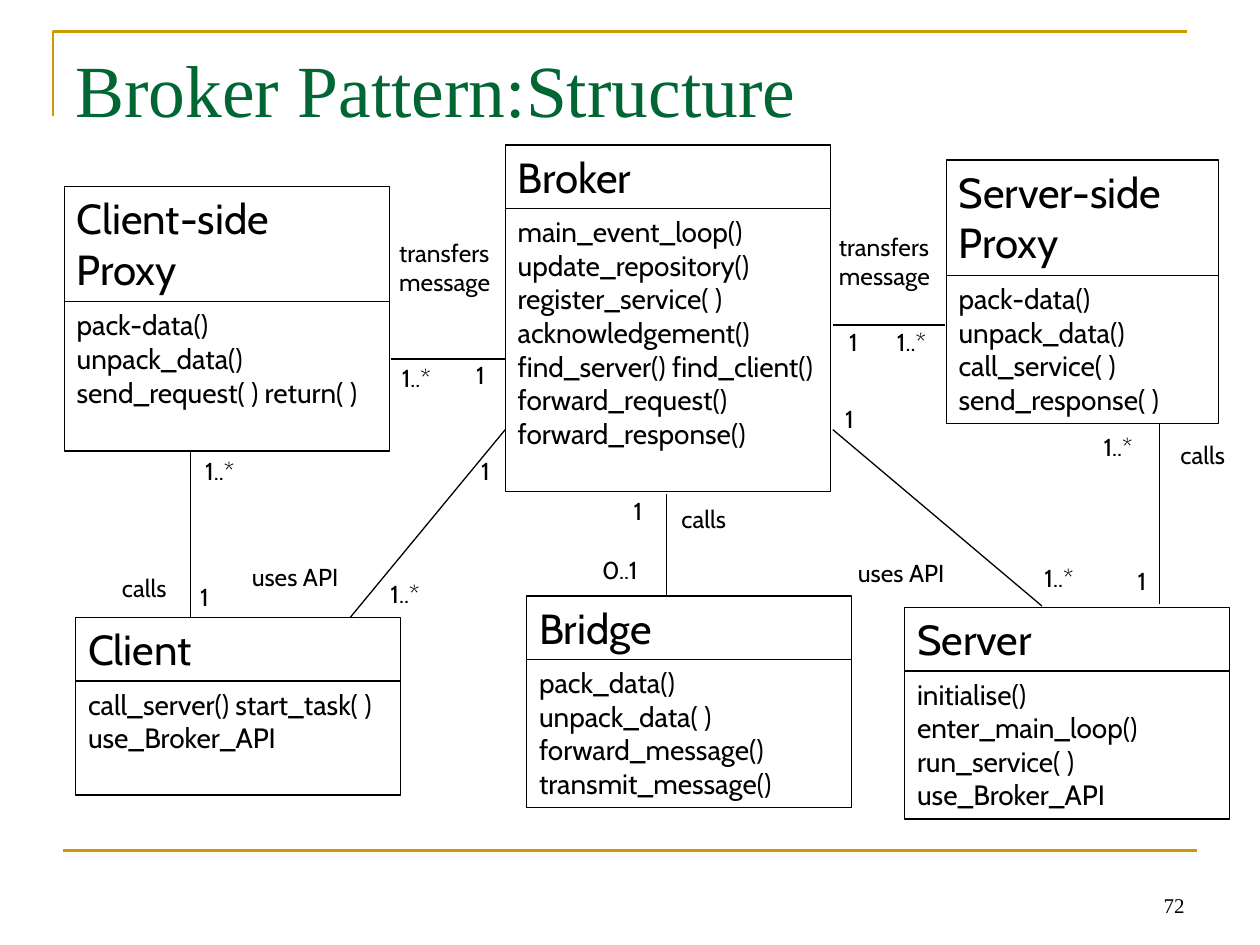
from pptx import Presentation
from pptx.dml.color import RGBColor
from pptx.enum.shapes import MSO_CONNECTOR, MSO_SHAPE
from pptx.enum.text import MSO_ANCHOR, PP_ALIGN
from pptx.oxml.ns import qn
from pptx.util import Inches, Pt
from lxml import etree

RECT = MSO_SHAPE.RECTANGLE
STRAIGHT = MSO_CONNECTOR.STRAIGHT
TOP, BOTTOM = MSO_ANCHOR.TOP, MSO_ANCHOR.BOTTOM
LEFT, RIGHT = PP_ALIGN.LEFT, PP_ALIGN.RIGHT

BLACK, GOLD, GREEN = "000000", "CC9900", "006633"
SANS, SERIF = "Cabin", "Times New Roman"
WIDTH, HEIGHT = Inches(10), Inches(7.5)
COLS, ROWS = 100, 75

CLASSES = [
    ((6, 49, 25.8, 14.1), 5.05, "Client",
     "call_server() start_task( ) use_Broker_API"),
    ((5.1, 14.8, 25.8, 21), 9.15, "Client-side Proxy",
     "pack-data() unpack_data() send_request( ) return( )"),
    ((75.1, 12.7, 21.6, 20.9), 9.15, "Server-side Proxy",
     "pack-data() unpack_data() call_service( ) send_response( )"),
    ((40.1, 11.5, 25.8, 27.5), 5.05, "Broker",
     "main_event_loop() update_repository() register_service( ) "
     "acknowledgement() find_server() find_client() "
     "forward_request() forward_response()"),
    ((41.8, 47.3, 25.8, 16.8), 5.05, "Bridge",
     "pack_data() unpack_data( ) forward_message() transmit_message()"),
    ((71.8, 48.2, 25.8, 16.8), 5.05, "Server",
     "initialise() enter_main_loop() run_service( ) use_Broker_API"),
]

CALLS, USES, TRANSFERS = "calls", "uses API", "transfers\nmessage"
ONE, MANY, OPTIONAL = "1", "1..*", "0..1"
LABEL_SIZES = {CALLS: (5.7, 3.3), USES: (16.4, 3.3), TRANSFERS: (10.1, 5.7),
               ONE: (3.8, 3.3), MANY: (6.2, 3.3), OPTIONAL: (5.7, 3.3)}

ASSOCIATIONS = [
    ((15.1, 49), (15.1, 35.7),
     [(CALLS, -6.4, -4), (ONE, -0.2, -3.3), (MANY, 0.2, -13.3)]),
    ((31, 28.5), (40.1, 28.5),
     [(TRANSFERS, -0.3, -10.1), (MANY, -0.1, -0.2), (ONE, 5.8, -0.4)]),
    ((75, 25.8), (66.1, 25.8),
     [(TRANSFERS, -9.4, -7.9), (MANY, -4.8, -0.3), (ONE, -8.6, -0.3)]),
    ((27.8, 49), (40.1, 34.1),
     [(USES, -8.8, -4.9), (MANY, 2.2, -3.5), (ONE, 9.4, -13.3)]),
    ((92, 33.6), (92, 47.9),
     [(CALLS, 0.7, 0.8), (MANY, -5.4, 0.2), (ONE, -2.7, 10.8)]),
    ((82.7, 48.1), (66.1, 34.1),
     [(USES, -15.6, -4.3), (MANY, -0.8, -3.9), (ONE, -16.6, -16.5)]),
    ((52.9, 47.3), (52.9, 39.2),
     [(CALLS, 0.2, -7.8), (ONE, -3.6, -8.4), (OPTIONAL, -6.1, -3.7)]),
]


def rgb(value):
    return RGBColor.from_string(value)


def grid(*values):
    units = (WIDTH / COLS, HEIGHT / ROWS)
    return [round(v * units[i % 2]) for i, v in enumerate(values)]


def write(sp, text, size, font=SANS, color=BLACK, align=LEFT, anchor=TOP,
          wrap=True):
    tf = sp.text_frame
    tf.word_wrap = wrap
    tf.vertical_anchor = anchor
    tf.text = text
    for p in tf.paragraphs:
        p.alignment = align
        p.font.size = Pt(size)
        p.font.name = font
        p.font.color.rgb = rgb(color)


def add_text(slide, box, text, size, **style):
    write(slide.shapes.add_textbox(*grid(*box)), text, size, **style)


def add_line(slide, start, end, color=BLACK, width=0.75):
    line = slide.shapes.add_connector(STRAIGHT, *grid(*start, *end))
    line.line.color.rgb = rgb(color)
    line.line.width = Pt(width)
    etree.SubElement(line._element.spPr, qn("a:effectLst"))


def add_frame(slide, box):
    x, y, w, h = box
    corner = slide.shapes.build_freeform(*grid(x, y + 6.7), scale=1)
    corner.add_line_segments([grid(x, y), grid(x + w, y)], close=False)
    sp = corner.convert_to_shape()
    sp.shadow.inherit = False
    sp.fill.background()
    sp.line.color.rgb = rgb(GOLD)
    sp.line.width = Pt(1.5)
    add_line(slide, (x + 0.8, y + h), (x + w + 0.8, y + h), GOLD, 1.5)


def add_class(slide, box, header, name, methods):
    x, y, w, h = box
    parts = ((y, header, name, 24), (y + header, h - header, methods, 16))
    for top, height, text, size in parts:
        sp = slide.shapes.add_shape(RECT, *grid(x, top, w, height))
        sp.shadow.inherit = False
        sp.fill.background()
        sp.line.color.rgb = rgb(BLACK)
        sp.line.width = Pt(0.75)
        write(sp, text, size)


def add_association(slide, start, end, labels):
    add_line(slide, start, end)
    x, y = start
    for text, dx, dy in labels:
        box = (x + dx, y + dy, *LABEL_SIZES[text])
        wrap = text not in (CALLS, TRANSFERS)
        add_text(slide, box, text, 14, wrap=wrap)


def main():
    prs = Presentation()
    prs.slide_width, prs.slide_height = WIDTH, HEIGHT
    slide = prs.slides.add_slide(prs.slide_layouts[6])
    add_frame(slide, (4.2, 2.5, 90, 65))
    add_text(slide, (5, 3, 90, 12.5), "Broker Pattern:Structure", 42,
             font=SERIF, color=GREEN)
    add_text(slide, (71.7, 68.3, 23.3, 5), "72", 12, font=SERIF,
             align=RIGHT, anchor=BOTTOM)
    for item in CLASSES:
        add_class(slide, *item)
    for item in ASSOCIATIONS:
        add_association(slide, *item)
    prs.save("out.pptx")


if __name__ == "__main__":
    main()
